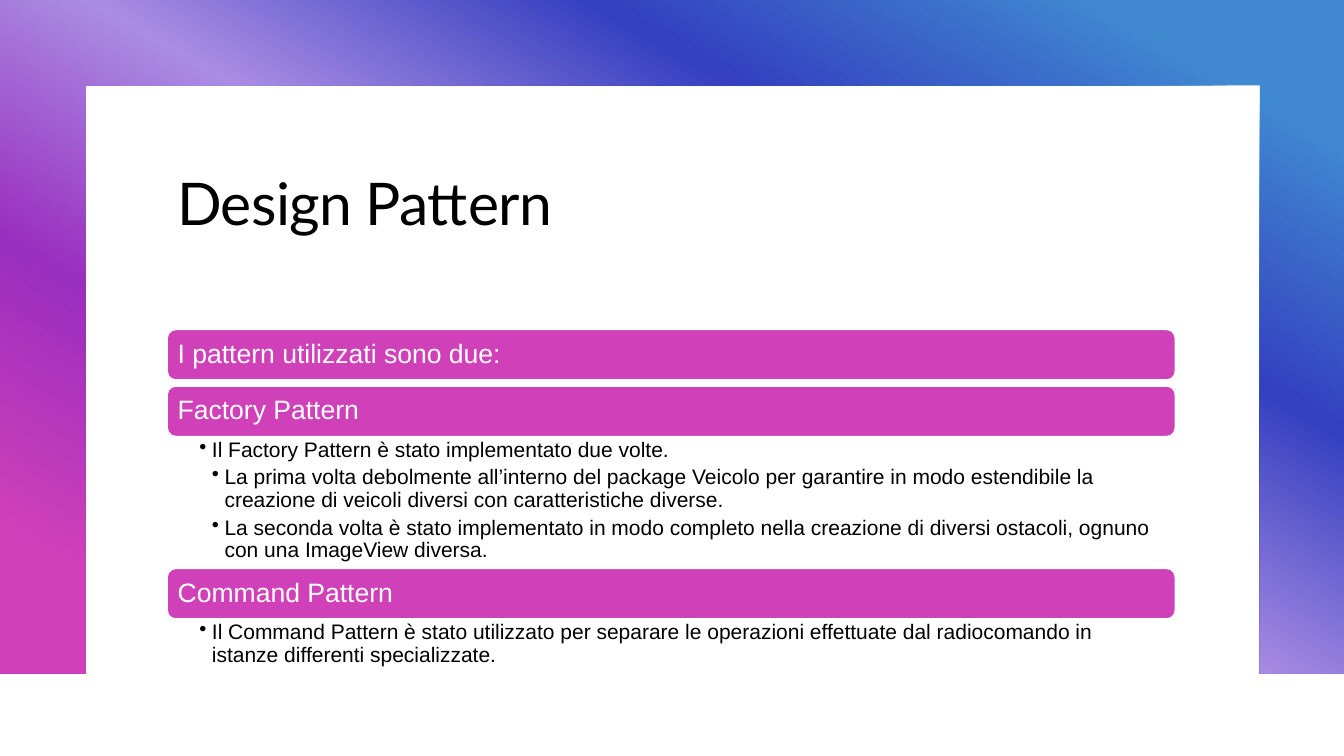
from lxml import etree
from pptx import Presentation
from pptx.dml.color import RGBColor
from pptx.enum.shapes import MSO_SHAPE as SHAPE
from pptx.enum.text import MSO_ANCHOR as ANCHOR, PP_ALIGN as ALIGN
from pptx.oxml import parse_xml
from pptx.oxml.ns import nsdecls, qn
from pptx.util import Pt


def rgb(value):
    return RGBColor.from_string(value)


def add_run(p, text, font, size, color):
    r = p.add_run()
    r.text = text
    r.font.name = font
    r.font.size = Pt(size)
    r.font.color.rgb = rgb(color)
    return r


prs = Presentation()
prs.slide_width, prs.slide_height = Pt(960), Pt(540)
s = prs.slides.add_slide(prs.slide_layouts[5])
s.background.fill.solid()
s.background.fill.fore_color.rgb = rgb("FFFFFF")

# Gradient frame, open at the bottom
BOTTOM, LEFT, RIGHT, TOP = 481, 60.6, 900.4, 60.6
fb = s.shapes.build_freeform(0, 0, scale=Pt(1))
fb.add_line_segments([(960, 0), (960, BOTTOM), (RIGHT, BOTTOM), (RIGHT, TOP),
                      (LEFT, TOP), (LEFT, BOTTOM), (0, BOTTOM)], close=True)
frame = fb.convert_to_shape()
frame.shadow.inherit = False
frame.line.fill.background()
stops = [(10, "4088D0"), (30, "3440C0"), (50, "A98CE3"), (70, "9A2EBE"), (90, "D040B9")]
gs = "".join(f'<a:gs pos="{pos * 1000}"><a:srgbClr val="{color}"/></a:gs>' for pos, color in stops)
grad = parse_xml(f'<a:gradFill {nsdecls("a")} rotWithShape="1"><a:gsLst>{gs}</a:gsLst>'
                 '<a:lin ang="7200000" scaled="0"/></a:gradFill>')
frame.fill.background()
no_fill = frame.element.spPr.find(qn("a:noFill"))
frame.element.spPr.replace(no_fill, grad)

# Title
X, W = 119.5, 720
title = s.shapes.title
title.left, title.top, title.width, title.height = Pt(X), Pt(119.5), Pt(W), Pt(106)
tf = title.text_frame
tf.vertical_anchor = ANCHOR.TOP
p = tf.paragraphs[0]
p.alignment = ALIGN.LEFT
p.line_spacing = 0.95
r = add_run(p, "Design Pattern", "Lato", 42, "000000")
r.font._element.set("spc", "-50")

# Each section: heading, space below its bar, bullets as (level, text)
sections = [
    ("I pattern utilizzati sono due:", 4.4, []),
    ("Factory Pattern", 94.3, [
        (1, "Il Factory Pattern è stato implementato due volte."),
        (2, "La prima volta debolmente all’interno del package Veicolo per garantire in modo "
            "estendibile la creazione di veicoli diversi con caratteristiche diverse."),
        (2, "La seconda volta è stato implementato in modo completo nella creazione di diversi "
            "ostacoli, ognuno con una ImageView diversa."),
    ]),
    ("Command Pattern", 37.4, [
        (1, "Il Command Pattern è stato utilizzato per separare le operazioni effettuate dal "
            "radiocomando in istanze differenti specializzate."),
    ]),
]
BAR_H, INDENT = 36, 9
y = 235.4
for heading, below, bullets in sections:
    # Heading bar
    bar = s.shapes.add_shape(SHAPE.ROUNDED_RECTANGLE, Pt(X), Pt(y), Pt(W), Pt(BAR_H))
    bar.shadow.inherit = False
    bar.fill.solid()
    bar.fill.fore_color.rgb = rgb("D040B9")
    bar.line.color.rgb = rgb("FFFFFF")
    bar.line.width = Pt(1)
    tf = bar.text_frame
    tf.margin_left = tf.margin_right = tf.margin_top = tf.margin_bottom = Pt(5.7)
    tf.vertical_anchor = ANCHOR.MIDDLE
    p = tf.paragraphs[0]
    p.alignment = ALIGN.LEFT
    p.line_spacing = 0.9
    add_run(p, heading, "Arial", 19, "FFFFFF")
    y += BAR_H

    # Bullets under the bar
    if bullets:
        tf = s.shapes.add_textbox(Pt(X), Pt(y), Pt(W), Pt(below)).text_frame
        tf.word_wrap = True
        tf.margin_left, tf.margin_right = Pt(22.9), Pt(10.8)
        tf.margin_top = tf.margin_bottom = Pt(2)
        for i, (level, text) in enumerate(bullets):
            p = tf.add_paragraph() if i else tf.paragraphs[0]
            p.level = level
            p.line_spacing = 0.9
            p.space_after = Pt(3.4)
            pPr = p._p.get_or_add_pPr()
            pPr.set("marL", str(Pt(INDENT * level)))
            pPr.set("indent", str(-Pt(INDENT)))
            etree.SubElement(pPr, qn("a:buChar")).set("char", "•")
            add_run(p, text, "Arial", 15, "000000")
    y += below

prs.save("out.pptx")
